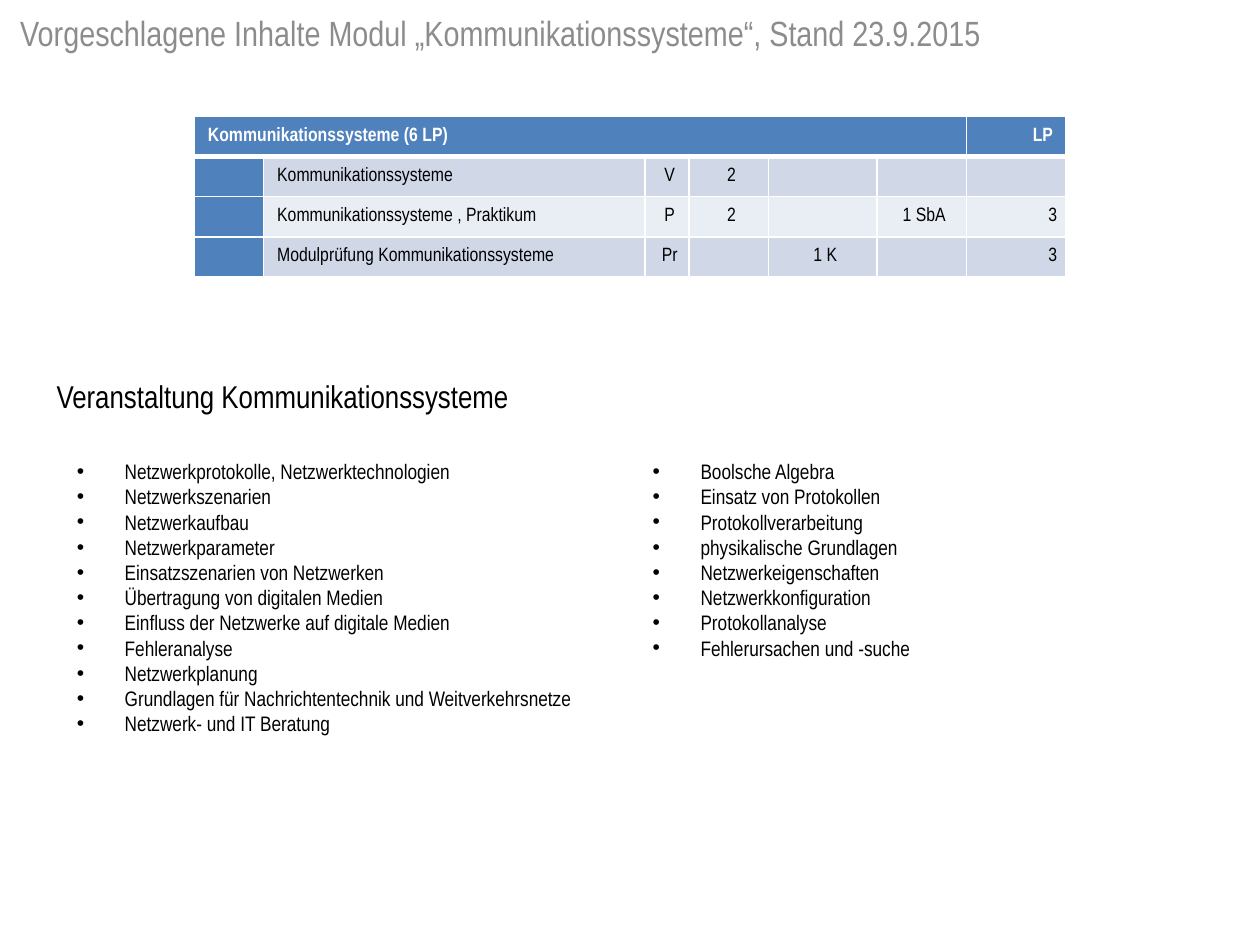
from lxml.etree import SubElement
from pptx import Presentation
from pptx.dml.color import RGBColor
from pptx.enum.text import MSO_ANCHOR, MSO_AUTO_SIZE, PP_ALIGN
from pptx.oxml.ns import qn
from pptx.util import Inches, Pt

COLORS = {
    "title": "8C8C8C",
    "text": "000000",
    "white": "FFFFFF",
    "accent": "4F81BD",
    "dark_band": "D0D8E8",
    "light_band": "E9EDF4",
}
FONT = "Arial Narrow"
COLUMN_WIDTHS = [0.55, 3.03, 0.35, 0.63, 0.86, 0.71, 0.79]
ROW_HEIGHT = 0.32
LEFT, CENTER, RIGHT = PP_ALIGN.LEFT, PP_ALIGN.CENTER, PP_ALIGN.RIGHT
ALIGNMENTS = [LEFT, LEFT, CENTER, CENTER, CENTER, CENTER, RIGHT]
MODULE_ROWS = [
    ["Kommunikationssysteme (6 LP)", "", "", "", "", "", "LP "],
    ["", "Kommunikationssysteme", "V", "2", "", "", ""],
    ["", "Kommunikationssysteme , Praktikum", "P", "2", "", "1 SbA", "3"],
    ["", "Modulprüfung Kommunikationssysteme", "Pr", "", "1 K", "", "3"],
]
TOPICS = [
    "Netzwerkprotokolle, Netzwerktechnologien",
    "Netzwerkszenarien",
    "Netzwerkaufbau",
    "Netzwerkparameter",
    "Einsatzszenarien von Netzwerken",
    "Übertragung von digitalen Medien",
    "Einfluss der Netzwerke auf digitale Medien",
    "Fehleranalyse",
    "Netzwerkplanung",
    "Grundlagen für Nachrichtentechnik und Weitverkehrsnetze",
    "Netzwerk- und IT Beratung",
]
SKILLS = [
    "Boolsche Algebra",
    "Einsatz von Protokollen",
    "Protokollverarbeitung",
    "physikalische Grundlagen",
    "Netzwerkeigenschaften",
    "Netzwerkkonfiguration",
    "Protokollanalyse",
    "Fehlerursachen und -suche",
]


def write(paragraph, text, size=12, color="text", bold=False, align=LEFT, space=0):
    """Fill a paragraph with one formatted run."""
    paragraph.alignment = align
    paragraph.space_before = paragraph.space_after = Pt(space)
    run = paragraph.add_run()
    run.text = text
    run.font.name = FONT
    run.font.size = Pt(size)
    run.font.bold = bold
    run.font.color.rgb = RGBColor.from_string(COLORS[color])


def place(shape, box):
    """Move and size a shape to a box given in inches."""
    shape.left, shape.top, shape.width, shape.height = map(Inches, box)


def add_title(slide, text, box):
    """Place the slide title."""
    title = slide.shapes.title
    place(title, box)
    frame = title.text_frame
    frame.auto_size = MSO_AUTO_SIZE.NONE
    frame.vertical_anchor = MSO_ANCHOR.TOP
    write(frame.paragraphs[0], text, size=20, color="title")


def add_heading(slide, text, box):
    """Place the heading above the two lists."""
    heading = slide.shapes.add_textbox(*map(Inches, box))
    heading.text_frame.word_wrap = False
    write(heading.text_frame.paragraphs[0], text, size=18)


def add_list(placeholder, items, box):
    """Place a bulleted list in a body placeholder."""
    place(placeholder, box)
    frame = placeholder.text_frame
    frame.auto_size = MSO_AUTO_SIZE.SHAPE_TO_FIT_TEXT
    for index, item in enumerate(items):
        paragraph = frame.add_paragraph() if index else frame.paragraphs[0]
        write(paragraph, item)
        properties = paragraph._p.get_or_add_pPr()
        properties.set("marL", str(Inches(0.38)))
        properties.set("indent", str(Inches(-0.38)))
        SubElement(properties, qn("a:buFont"), typeface="Arial")
        SubElement(properties, qn("a:buChar"), char="•")


def add_borders(cell, bottom):
    """Draw white lines around a table cell."""
    properties = cell._tc.get_or_add_tcPr()
    for side, width in {"lnL": 1, "lnR": 1, "lnT": 1, "lnB": bottom}.items():
        line = SubElement(properties, qn(f"a:{side}"), w=str(Pt(width)))
        fill = SubElement(line, qn("a:solidFill"))
        SubElement(fill, qn("a:srgbClr"), val=COLORS["white"])


def format_cell(cell, text, row, column):
    """Give a table cell its lines, fill and text."""
    header = row == 0
    band = "dark_band" if row % 2 else "light_band"
    fill = "accent" if header or column == 0 else band
    add_borders(cell, bottom=3 if header else 1)
    cell.fill.solid()
    cell.fill.fore_color.rgb = RGBColor.from_string(COLORS[fill])
    cell.vertical_anchor = MSO_ANCHOR.MIDDLE
    cell.margin_left = cell.margin_right = Inches(0.07)
    cell.margin_top = cell.margin_bottom = 0
    if text:
        paragraph = cell.text_frame.paragraphs[0]
        write(paragraph, text, size=11, color="white" if header else "text",
              bold=header, align=ALIGNMENTS[column], space=3)
        paragraph._p.get_or_add_pPr().set("marL", str(Inches(0.04)))


def add_module_table(slide, rows, box):
    """Place the table of module parts and credit points."""
    frame = slide.shapes.add_table(len(rows), len(COLUMN_WIDTHS), *map(Inches, box))
    table = frame.table
    for column, width in zip(table.columns, COLUMN_WIDTHS):
        column.width = Inches(width)
    for row_index, values in enumerate(rows):
        table.rows[row_index].height = Inches(ROW_HEIGHT)
        for column_index, text in enumerate(values):
            format_cell(table.cell(row_index, column_index), text, row_index, column_index)
    table.cell(0, 0).merge(table.cell(0, 5))


def main():
    """Build and save the module slide."""
    presentation = Presentation()
    presentation.slide_width = Inches(10)
    presentation.slide_height = Inches(7.5)
    slide = presentation.slides.add_slide(presentation.slide_layouts[3])
    add_title(slide, "Vorgeschlagene Inhalte Modul „Kommunikationssysteme“, Stand 23.9.2015",
              (0.06, 0.04, 9.82, 0.48))
    add_module_table(slide, MODULE_ROWS, (1.54, 0.92, 6.92, 1.28))
    add_heading(slide, "Veranstaltung Kommunikationssysteme", (0.35, 2.94, 3.89, 0.4))
    add_list(slide.placeholders[1], TOPICS, (0.51, 3.59, 4.25, 2.32))
    add_list(slide.placeholders[2], SKILLS, (5.08, 3.59, 4.25, 1.72))
    presentation.save("out.pptx")


if __name__ == "__main__":
    main()
